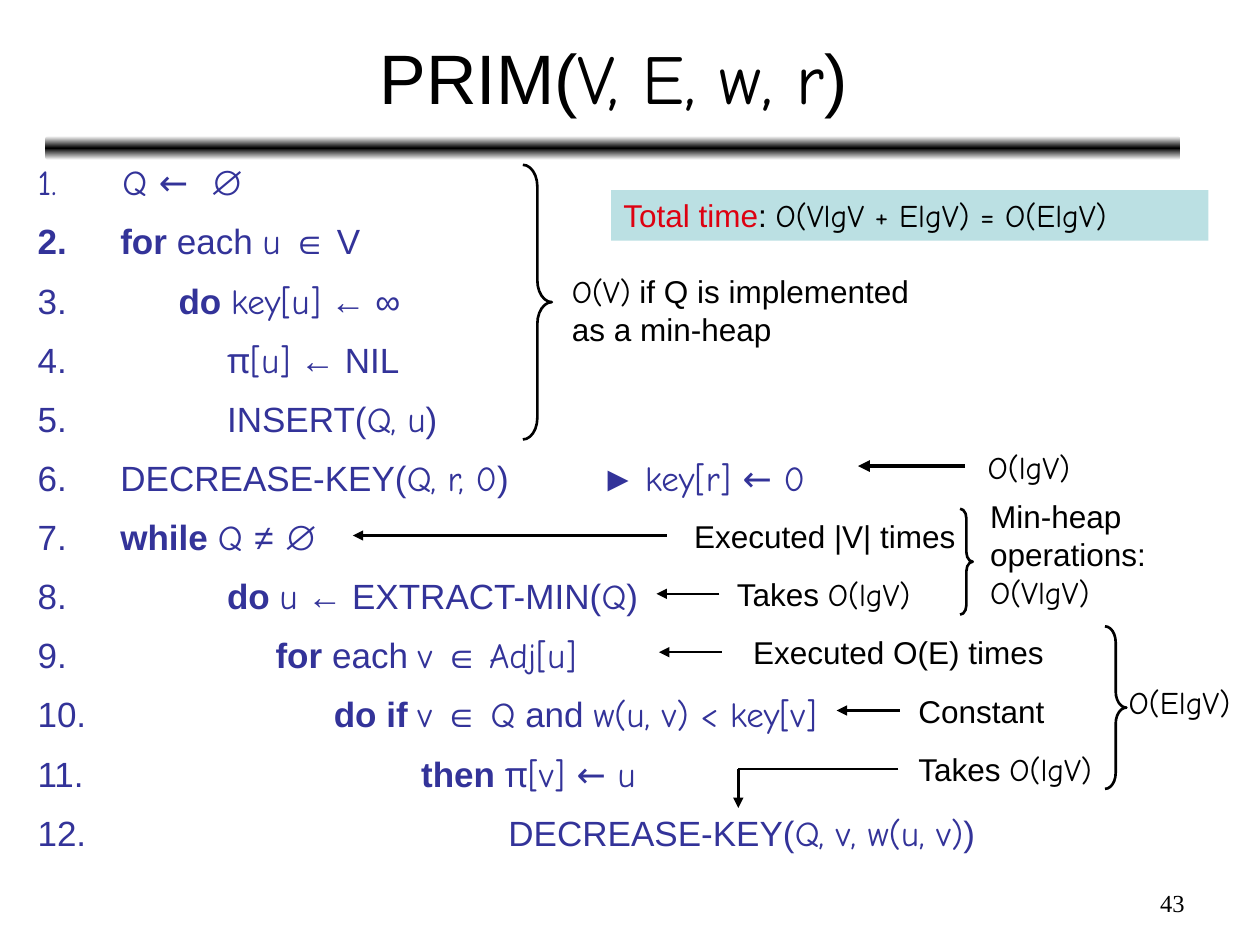
import pptx
import pptx.util
import pptx.dml.color
import pptx.enum.dml
import pptx.enum.shapes
import pptx.enum.text
import lxml.etree
from pptx.oxml.ns import qn

INCH = pptx.util.Inches
SHAPES = pptx.enum.shapes.MSO_SHAPE
ALIGN = pptx.enum.text.PP_ALIGN
ANCHOR = pptx.enum.text.MSO_ANCHOR
SANS, HAND, SERIF = "Arial", "Comic Neue", "Times New Roman"
BLACK, BLUE, RED, TEAL = "000000", "333399", "DD0111", "BBE0E3"

# Runs are (text, style): s sans, b bold sans, h handwriting, t serif, r red sans
STYLES = {"s": (SANS, False), "b": (SANS, True), "h": (HAND, False),
          "t": (SERIF, False), "r": (SANS, False)}
TITLE = [("PRIM(", "s"), ("V, E, w, r", "h"), (")", "s")]

# Pseudocode: (indent in characters, runs)
CODE = [
    (0, [(" Q ← ", "h"), (" ∅", "s")]),
    (0, [(" for ", "b"), ("each ", "s"), ("u ", "h"), ("∈ V", "s")]),
    (6, [(" ", "s"), ("do ", "b"), ("key[u]", "h"), (" ← ∞", "s")]),
    (11, [(" ", "s"), ("π[u]", "h"), (" ← NIL", "s")]),
    (11, [(" INSERT(", "s"), ("Q, u", "h"), (")", "s")]),
    (0, [(" DECREASE-KEY(", "s"), ("Q, r, 0", "h"), (")\t► ", "s"), ("key[r] ← 0", "h")]),
    (0, [(" ", "s"), ("while ", "b"), ("Q ", "h"), ("≠ ∅", "s")]),
    (11, [(" ", "s"), ("do ", "b"), ("u", "h"), (" ← EXTRACT-MIN(", "s"), ("Q", "h"), (")", "s")]),
    (16, [(" ", "s"), ("for ", "b"), ("each ", "s"), ("v ", "h"), ("∈ ", "s"), ("Adj[u]", "h")]),
    (22, [(" ", "s"), ("do if ", "b"), ("v ", "h"), ("∈", "s"), (" Q", "h"), (" and ", "s"),
          ("w(u, v) < key[v]", "h")]),
    (31, [(" ", "s"), ("then ", "b"), ("π[v] ← u", "h")]),
    (40, [(" DECREASE-KEY(", "s"), ("Q, v, w(u, v)", "h"), (")", "s")]),
]
NUMBER_WIDTH, CHARACTER, COMMENT_STOP = 0.58, 0.077, 4.47

# Cost notes: (left, code row of the middle, width, paragraphs)
NOTES = [
    (4.44, 3.13, 3.14, [[("O(V)", "h"), (" if Q is implemented as a min-heap", "s")]]),
    (7.74, 5.83, 1.2, [[("O(lgV)", "h")]]),
    (5.41, 7, 2.35, [[("Executed |V| times", "s")]]),
    (7.76, 7.32, 1.8, [[("Min-heap operations:", "s")], [("O(VlgV)", "h")]]),
    (5.75, 8, 1.78, [[("Takes ", "s"), ("O(lgV)", "h")]]),
    (5.88, 9, 2.57, [[("Executed O(E) times", "s")]]),
    (7.19, 10, 1.28, [[("Constant", "s")]]),
    (8.86, 9.85, 1.18, [[("O(ElgV)", "h")]]),
    (7.19, 11, 1.78, [[("Takes ", "s"), ("O(lgV)", "h")]]),
]
TOTAL = [("Total time", "r"), (": ", "s"), ("O(VlgV + ElgV) = O(ElgV)", "h")]

# Braces: (left, code row of the middle, width, height)
BRACES = [(4.15, 3, 0.23, 2.18), (7.62, 7.45, 0.1, 0.84), (8.77, 9.95, 0.17, 1.29)]

# Arrows: (from x, from row, to x, to row, line width, has head)
ARROWS = [
    (7.66, 5.81, 6.81, 5.81, 2.25, True),
    (5.29, 7, 2.8, 7, 1.5, True),
    (5.71, 8, 5.21, 8, 1.5, True),
    (5.73, 9, 5.23, 9, 1.5, True),
    (7.14, 10, 6.64, 10, 1.5, True),
    (7.13, 11, 5.86, 11, 1.5, False),
    (5.86, 11, 5.86, 11.67, 1.5, True),
]


def colour(value):
    return pptx.dml.color.RGBColor.from_string(value)


def row_middle(row):
    return 4.25 + 0.463 * (row - 7)


def place(shape, left, top, width, height):
    shape.left, shape.top = INCH(left), INCH(top)
    shape.width, shape.height = INCH(width), INCH(height)


def add_runs(para, runs, size, ink=BLACK):
    for text, style in runs:
        span = para.add_run()
        span.text = text
        span.font.name, span.font.bold = STYLES[style]
        span.font.size = pptx.util.Pt(size)
        span.font.color.rgb = colour(RED if style == "r" else ink)


def add_text(page, left, top, width, height, paragraphs, size=18, ink=BLACK,
             anchor=ANCHOR.TOP, align=ALIGN.LEFT):
    box = page.shapes.add_textbox(INCH(left), INCH(top), INCH(width), INCH(height))
    frame = box.text_frame
    frame.word_wrap, frame.vertical_anchor = True, anchor
    for index, runs in enumerate(paragraphs):
        para = frame.paragraphs[0] if index == 0 else frame.add_paragraph()
        para.alignment = align
        add_runs(para, runs, size, ink)
    return box


def number_line(para, indent):
    """Automatic number at the left edge, text at its own indent."""
    para.line_spacing, para.space_before = 1.2, pptx.util.Pt(5)
    props = para._p.get_or_add_pPr()
    margin = INCH(NUMBER_WIDTH + indent * CHARACTER)
    props.set("marL", str(margin))
    props.set("indent", str(-margin))
    bullet_colour = lxml.etree.SubElement(props, qn("a:buClr"))
    lxml.etree.SubElement(bullet_colour, qn("a:srgbClr")).set("val", BLUE)
    lxml.etree.SubElement(props, qn("a:buAutoNum")).set("type", "arabicPeriod")
    if any("\t" in span.text for span in para.runs):
        stops = lxml.etree.SubElement(props, qn("a:tabLst"))
        stop = lxml.etree.SubElement(stops, qn("a:tab"))
        stop.set("pos", str(INCH(COMMENT_STOP)))
        stop.set("algn", "l")


def add_arrow(page, x1, row1, x2, row2, width, head):
    line = page.shapes.add_connector(
        pptx.enum.shapes.MSO_CONNECTOR.STRAIGHT,
        INCH(x1), INCH(row_middle(row1)), INCH(x2), INCH(row_middle(row2)))
    line.line.color.rgb = colour(BLACK)
    line.line.width = pptx.util.Pt(width)
    if head:
        tail = lxml.etree.SubElement(line.line._get_or_add_ln(), qn("a:tailEnd"))
        tail.set("type", "triangle")
    lxml.etree.SubElement(line._element.spPr, qn("a:effectLst"))


def main():
    deck = pptx.Presentation()
    deck.slide_width, deck.slide_height = INCH(10), INCH(7.5)
    page = deck.slides.add_slide(deck.slide_layouts[5])

    # Title and the bar below it
    title = page.shapes.title
    place(title, 0.37, 0.11, 9, 0.99)
    title.text_frame.vertical_anchor = ANCHOR.MIDDLE
    title.text_frame.paragraphs[0].alignment = ALIGN.CENTER
    add_runs(title.text_frame.paragraphs[0], TITLE, 40)
    bar = page.shapes.add_shape(SHAPES.ROUNDED_RECTANGLE, INCH(0.36), INCH(1.08),
                                INCH(9.01), INCH(0.19))
    bar.shadow.inherit = False
    bar.line.fill.background()
    bar.fill.gradient()
    bar.fill.gradient_angle = 90
    stops = bar.fill._fill._gradFill.gsLst
    for stop in list(stops):
        stops.remove(stop)
    for position, value in ((0, "FFFFFF"), (50000, BLACK), (100000, "FFFFFF")):
        stop = lxml.etree.SubElement(stops, qn("a:gs"))
        stop.set("pos", str(position))
        lxml.etree.SubElement(stop, qn("a:srgbClr")).set("val", value)

    # Numbered pseudocode
    code = add_text(page, 0.2, 1.16, 9.27, 6.12, [runs for _, runs in CODE], 20, BLUE)
    for para, (indent, _) in zip(code.text_frame.paragraphs, CODE):
        number_line(para, indent)

    # Braces, notes and arrows
    for left, row, width, height in BRACES:
        brace = page.shapes.add_shape(SHAPES.RIGHT_BRACE, INCH(left),
                                      INCH(row_middle(row) - height / 2),
                                      INCH(width), INCH(height))
        brace.adjustments[0] = 0.75
        brace.shadow.inherit = False
        brace.fill.background()
        brace.line.color.rgb = colour(BLACK)
        brace.line.width = pptx.util.Pt(1.5)
    for left, row, width, paragraphs in NOTES:
        add_text(page, left, row_middle(row) - 0.2, width, 0.4, paragraphs,
                 anchor=ANCHOR.MIDDLE)
    for arrow in ARROWS:
        add_arrow(page, *arrow)

    # Total time and page number
    total = add_text(page, 4.85, 1.51, 4.74, 0.4, [TOTAL])
    total.fill.solid()
    total.fill.fore_color.rgb = colour(TEAL)
    add_text(page, 7.17, 7, 2.33, 0.35, [[("43", "t")]], 14, align=ALIGN.RIGHT)
    deck.save("out.pptx")


if __name__ == "__main__":
    main()
